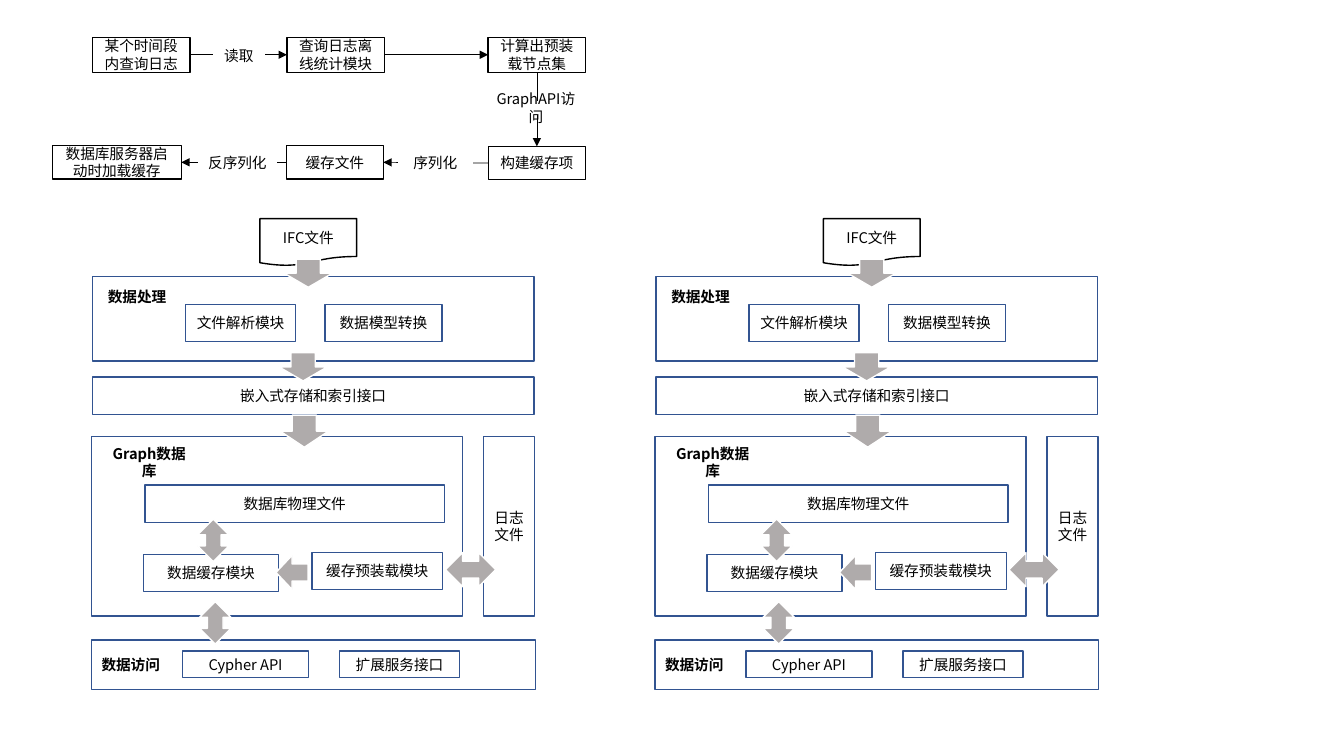
from lxml.etree import SubElement
from pptx import Presentation
from pptx.dml.color import RGBColor
from pptx.enum.shapes import MSO_CONNECTOR, MSO_SHAPE
from pptx.enum.text import MSO_ANCHOR, PP_ALIGN
from pptx.oxml.ns import qn
from pptx.util import Cm, Pt

FONT = "Noto Sans CJK SC"
COLORS = {"black": "000000", "white": "FFFFFF", "blue": "325491", "gray": "AFABAB"}
PROCESS = MSO_SHAPE.FLOWCHART_PROCESS
DOCUMENT = MSO_SHAPE.FLOWCHART_DOCUMENT
DOWN = MSO_SHAPE.DOWN_ARROW
UP_DOWN = MSO_SHAPE.UP_DOWN_ARROW

deck = Presentation()
deck.slide_width, deck.slide_height = Cm(33.87), Cm(19.05)
page = deck.slides.add_slide(deck.slide_layouts[6])


def add_box(text, left, top, width, height, kind=PROCESS, fill="white",
            line="blue", bold=False, align=PP_ALIGN.CENTER, rotation=0):
    box = page.shapes.add_shape(kind, Cm(left), Cm(top), Cm(width), Cm(height))
    box.shadow.inherit = False
    box.rotation = rotation
    box.fill.solid()
    box.fill.fore_color.rgb = RGBColor.from_string(COLORS[fill])
    if line:
        box.line.color.rgb = RGBColor.from_string(COLORS[line])
        box.line.width = Pt(1)
    else:
        box.line.fill.background()
    if text:
        frame = box.text_frame
        frame.word_wrap = True
        frame.vertical_anchor = MSO_ANCHOR.MIDDLE
        para = frame.paragraphs[0]
        para.alignment = align
        span = para.add_run()
        span.text = text
        span.font.size = Pt(10.5)
        span.font.bold = bold
        span.font.name = FONT
        span.font.color.rgb = RGBColor.from_string(COLORS["black"])
        SubElement(span.font._element, qn("a:ea"), typeface=FONT)


def add_arrow(start_x, start_y, end_x, end_y):
    arrow = page.shapes.add_connector(
        MSO_CONNECTOR.STRAIGHT, Cm(start_x), Cm(start_y), Cm(end_x), Cm(end_y))
    arrow.line.color.rgb = RGBColor.from_string(COLORS["black"])
    arrow.line.width = Pt(0.5)
    SubElement(arrow.line._get_or_add_ln(), qn("a:tailEnd"), type="triangle")
    SubElement(arrow._element.spPr, qn("a:effectLst"))


# Cache preloading flow: steps, arrows, then labels over the arrows
for text, left, top, width, height in [
    ("某个时间段内查询日志", 2.33, 0.94, 2.46, 0.89),
    ("查询日志离线统计模块", 7.23, 0.94, 2.46, 0.89),
    ("计算出预装载节点集", 12.3, 0.94, 2.46, 0.89),
    ("构建缓存项", 12.31, 3.69, 2.44, 0.84),
    ("缓存文件", 7.22, 3.67, 2.44, 0.84),
    ("数据库服务器启动时加载缓存", 1.32, 3.67, 3.25, 0.84),
]:
    add_box(text, left, top, width, height, line="black")

for ends in [
    (4.79, 1.38, 7.23, 1.38),
    (9.69, 1.38, 12.3, 1.38),
    (13.53, 1.83, 13.53, 3.69),
    (12.31, 4.11, 9.66, 4.09),
    (7.22, 4.09, 4.57, 4.09),
]:
    add_arrow(*ends)

for text, left, top, width, height in [
    ("读取", 5.36, 1.19, 1.32, 0.41),
    ("GraphAPI访问", 12.12, 2.54, 2.77, 0.36),
    ("序列化", 10.03, 3.91, 1.88, 0.38),
    ("反序列化", 4.98, 3.91, 2.01, 0.38),
]:
    add_box(text, left, top, width, height, line=None)

# Architecture parts, placed as in the left-hand diagram
layers = [
    ("", 2.33, 6.97, 11.13, 2.13),
    ("文件解析模块", 4.68, 7.67, 2.77, 0.94),
    ("数据模型转换", 8.19, 7.67, 2.95, 0.94),
    ("嵌入式存储和索引接口", 2.33, 9.5, 11.13, 0.94),
    ("", 2.31, 11, 9.35, 4.52),
    ("数据库物理文件", 3.66, 12.22, 7.54, 0.94),
    ("数据缓存模块", 3.62, 13.97, 3.4, 0.94),
    ("日志文件", 12.19, 11, 1.28, 4.52),
    ("缓存预装载模块", 7.86, 13.92, 3.3, 0.94),
]
access_modules = [
    ("Cypher API", 4.6, 16.41, 3.18, 0.66),
    ("扩展服务接口", 8.56, 16.41, 3.02, 0.66),
]
titles = [
    ("数据处理", 2.44, 7.01, 2.03, 0.94),
    ("Graph数据库", 2.44, 11.18, 2.64, 0.94),
]
block_arrows = [
    (DOWN, 7.16, 6.53, 1.22, 0.71, 0),
    (DOWN, 7.03, 8.89, 1.22, 0.71, 0),
    (DOWN, 7.06, 10.46, 1.22, 0.81, 0),
    (DOWN, 6.93, 14.02, 0.86, 0.81, 90),
    (UP_DOWN, 4.98, 13.08, 0.79, 1.07, 0),
    (UP_DOWN, 5.03, 15.16, 0.79, 1.07, 0),
    (UP_DOWN, 11.43, 13.72, 0.86, 1.27, 90),
]

# The same architecture is drawn twice, side by side
for shift in (0, 14.2):
    add_box("IFC文件", 6.55 + shift, 5.51, 2.44, 1.19, kind=DOCUMENT, line="black")
    for text, left, top, width, height in layers:
        add_box(text, left + shift, top, width, height)
    add_box("数据访问", 2.31 + shift, 16.13, 11.18, 1.24, bold=True, align=PP_ALIGN.LEFT)
    for text, left, top, width, height in access_modules:
        add_box(text, left + shift, top, width, height)
    for text, left, top, width, height in titles:
        add_box(text, left + shift, top, width, height, line=None, bold=True)
    for kind, left, top, width, height, turn in block_arrows:
        add_box("", left + shift, top, width, height, kind=kind,
                fill="gray", line="white", rotation=turn)

deck.save("out.pptx")
